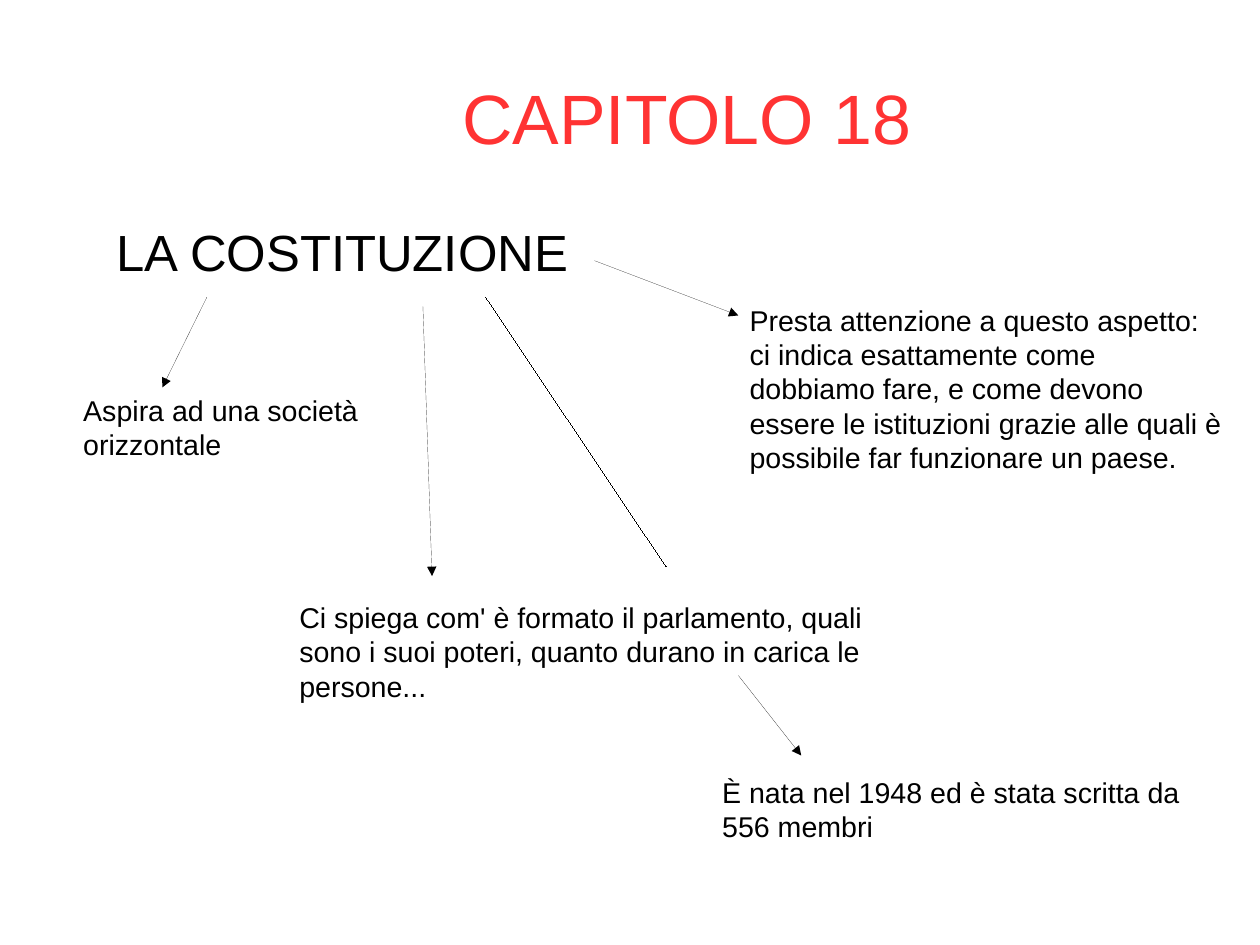
from typing import NamedTuple

from lxml.etree import SubElement
from pptx import Presentation
from pptx.dml.color import RGBColor
from pptx.enum.shapes import MSO_CONNECTOR
from pptx.enum.text import MSO_ANCHOR, MSO_AUTO_SIZE, PP_ALIGN
from pptx.oxml.ns import qn
from pptx.slide import Slide
from pptx.text.text import TextFrame
from pptx.util import Inches, Pt

RED = RGBColor(0xFF, 0x33, 0x33)
BLACK = RGBColor(0x00, 0x00, 0x00)
FONT = "Arial"
CM_PER_INCH = 2.54


class Note(NamedTuple):
    text: str
    left: float
    top: float
    width: float
    height: float
    size: int = 18
    margins: tuple[float, float] = (0.1, 0.05)


class Line(NamedTuple):
    start: tuple[float, float]
    end: tuple[float, float]
    arrow: bool = True


NOTES = [
    Note("LA COSTITUZIONE", 1.02, 1.93, 9.45, 0.6, size=32, margins=(0, 0)),
    Note("Presta attenzione a questo aspetto: ci indica esattamente come "
         "dobbiamo fare, e come devono essere le istituzioni grazie alle quali "
         "è possibile far funzionare un paese.", 6.46, 2.6, 4.33, 2.06),
    Note("Aspira ad una società orizzontale", 0.63, 3.39, 3.46, 0.66),
    Note("Ci spiega com' è formato il parlamento, quali sono i suoi poteri, "
         "quanto durano in carica le persone...", 2.52, 5.2, 5.2, 0.94),
    Note("È nata nel 1948 ed è stata scritta da 556 membri",
         6.22, 6.73, 4.57, 0.66),
]

LINES = [
    Line((5.2, 2.28), (6.46, 2.76)),
    Line((1.81, 2.6), (1.42, 3.39)),
    Line((3.7, 2.68), (3.78, 5.04)),
    Line((4.25, 2.6), (5.83, 4.96), arrow=False),
    Line((6.46, 5.91), (7.01, 6.61)),
]


def write(frame: TextFrame, text: str, size: int, color: RGBColor) -> None:
    frame.text = text
    frame.word_wrap = True
    frame.auto_size = MSO_AUTO_SIZE.NONE
    font = frame.paragraphs[0].runs[0].font
    font.name = FONT
    font.size = Pt(size)
    font.color.rgb = color


def set_margins(frame: TextFrame, side: float, vertical: float) -> None:
    frame.margin_left = frame.margin_right = Inches(side)
    frame.margin_top = frame.margin_bottom = Inches(vertical)


def format_title(slide: Slide) -> None:
    title = slide.shapes.title
    title.left, title.top = Inches(0.55), Inches(0.33)
    title.width, title.height = Inches(9.92), Inches(1.38)
    frame = title.text_frame
    write(frame, "CAPITOLO 18", 44, RED)
    set_margins(frame, 0, 0)
    frame.margin_left = Inches(1)
    frame.vertical_anchor = MSO_ANCHOR.MIDDLE
    frame.paragraphs[0].alignment = PP_ALIGN.CENTER


def add_note(slide: Slide, note: Note) -> None:
    box = slide.shapes.add_textbox(Inches(note.left), Inches(note.top),
                                   Inches(note.width), Inches(note.height))
    write(box.text_frame, note.text, note.size, BLACK)
    set_margins(box.text_frame, *note.margins)


def add_line(slide: Slide, line: Line) -> None:
    """Draw a hairline; its zero width must be written out in the XML."""
    connector = slide.shapes.add_connector(
        MSO_CONNECTOR.STRAIGHT, *map(Inches, line.start + line.end))
    connector.line.color.rgb = BLACK
    properties = connector._element.spPr
    outline = properties.find(qn("a:ln"))
    outline.set("w", "0")
    if line.arrow:
        SubElement(outline, qn("a:tailEnd"), type="triangle")
    SubElement(properties, qn("a:effectLst"))


def main() -> None:
    deck = Presentation()
    deck.slide_width = Inches(28 / CM_PER_INCH)
    deck.slide_height = Inches(21 / CM_PER_INCH)
    slide = deck.slides.add_slide(deck.slide_layouts.get_by_name("Title Only"))
    format_title(slide)
    for note in NOTES:
        add_note(slide, note)
    for line in LINES:
        add_line(slide, line)
    deck.save("out.pptx")


if __name__ == "__main__":
    main()
